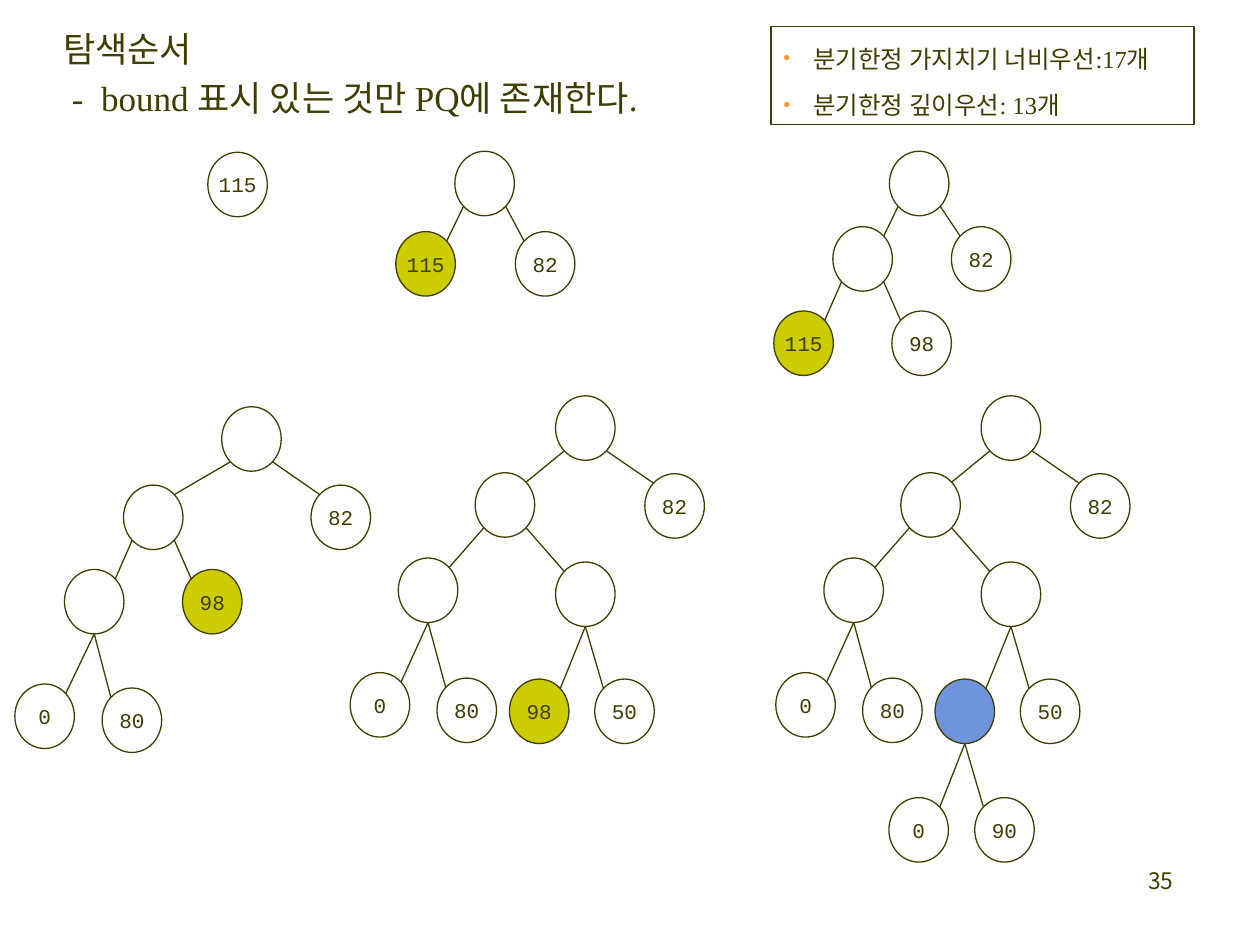
"""Build a slide showing the search order of a best-first branch-and-bound tree."""
from lxml import etree
from pptx import Presentation
from pptx import util as u
from pptx.dml.color import RGBColor
from pptx.enum import shapes, text
from pptx.oxml.ns import qn

INK = RGBColor(0x3F, 0x3E, 0x00)
NEXT = RGBColor(0xCC, 0xCC, 0x00)
BEST = RGBColor(0x70, 0x94, 0xDC)
BULLET = RGBColor(0xFF, 0x99, 0x33)
NODE_W, NODE_H = 1.2, 1.3
DIAGONAL = 0.3536


def place(part, left, top, width, height):
    part.left, part.top = u.Cm(left), u.Cm(top)
    part.width, part.height = u.Cm(width), u.Cm(height)


def write(paragraph, words, size, font):
    run = paragraph.add_run()
    run.text = words
    run.font.size = u.Pt(size)
    run.font.name = font
    run.font.color.rgb = INK


prs = Presentation()
prs.slide_width, prs.slide_height = u.Cm(25.4), u.Cm(19.05)
slide = prs.slides.add_slide(prs.slide_layouts[1])

heading = slide.shapes.title
place(heading, 1.02, 0.28, 12.88, 2.26)
heading.text_frame.word_wrap = True
heading.text_frame.auto_size = text.MSO_AUTO_SIZE.NONE
heading.text_frame.vertical_anchor = text.MSO_ANCHOR.TOP
for index, words in enumerate(["탐색순서", " -  bound 표시 있는 것만 PQ에 존재한다."]):
    line = heading.text_frame.paragraphs[0] if index == 0 else heading.text_frame.add_paragraph()
    line.alignment = text.PP_ALIGN.LEFT
    line.line_spacing = u.Pt(28)
    write(line, words, 20, "Times New Roman")

counts = slide.placeholders[1]
place(counts, 15.54, 0.53, 8.53, 1.98)
counts.line.color.rgb = INK
counts.line.width = u.Pt(0.75)
counts.text_frame.word_wrap = True
counts.text_frame.auto_size = text.MSO_AUTO_SIZE.NONE
counts.text_frame.vertical_anchor = text.MSO_ANCHOR.MIDDLE
for index, words in enumerate(["분기한정 가지치기 너비우선:17개", "분기한정 깊이우선: 13개"]):
    line = counts.text_frame.paragraphs[0] if index == 0 else counts.text_frame.add_paragraph()
    line.line_spacing = u.Pt(24)
    line.space_before = u.Pt(2.8)
    write(line, words, 14, "Times New Roman")
    props = line._p.get_or_add_pPr()
    props.set("marL", str(u.Cm(0.6)))
    props.set("indent", str(-u.Cm(0.6)))
    colour = etree.SubElement(props, qn("a:buClr"))
    etree.SubElement(colour, qn("a:srgbClr"), val=str(BULLET))
    etree.SubElement(props, qn("a:buSzPct"), val="80000")
    etree.SubElement(props, qn("a:buChar"), char="•")

# Each node: parent index, offset from the root (cm), bound, fill
final_top = [
    (None, 0, 0, "", None),
    (0, -1.62, 1.55, "", None), (0, 1.8, 1.57, "82", None),
    (1, -3.17, 3.27, "", None), (1, 0, 3.35, "", None),
    (3, -4.14, 5.58, "0", None), (3, -2.39, 5.69, "80", None),
    (4, 0.79, 5.71, "50", None),
]
trees = [
    (4.19, 3.07, [(None, 0, 0, "115", None)]),
    (9.17, 3.05, [
        (None, 0, 0, "", None),
        (0, -1.19, 1.62, "115", NEXT), (0, 1.22, 1.62, "82", None),
    ]),
    (17.93, 3.05, [
        (None, 0, 0, "", None),
        (0, -1.14, 1.52, "", None), (0, 1.25, 1.52, "82", None),
        (1, -2.33, 3.22, "115", NEXT), (1, 0.05, 3.22, "98", None),
    ]),
    (4.47, 8.2, [
        (None, 0, 0, "", None),
        (0, -1.98, 1.58, "", None), (0, 1.8, 1.58, "82", None),
        (1, -3.17, 3.28, "", None), (1, -0.79, 3.28, "98", NEXT),
        (3, -4.17, 5.59, "0", None), (3, -2.41, 5.67, "80", None),
    ]),
    (11.2, 7.98, final_top + [(4, -0.93, 5.71, "98", NEXT)]),
    (19.78, 7.98, final_top + [
        (4, -0.93, 5.71, "", BEST),
        (8, -1.86, 8.1, "0", None), (8, -0.13, 8.1, "90", None),
    ]),
]

for root_left, root_top, nodes in trees:
    depths = []
    for parent, dx, dy, bound, fill in nodes:
        node = slide.shapes.add_shape(shapes.MSO_SHAPE.OVAL, 0, 0, 0, 0)
        place(node, root_left + dx, root_top + dy, NODE_W, NODE_H)
        node.shadow.inherit = False
        node.line.color.rgb = INK
        node.line.width = u.Pt(0.75)
        if fill is None:
            node.fill.background()
        else:
            node.fill.solid()
            node.fill.fore_color.rgb = fill
        if bound:
            frame = node.text_frame
            frame.margin_left = frame.margin_right = 0
            frame.word_wrap = False
            frame.vertical_anchor = text.MSO_ANCHOR.MIDDLE
            frame.paragraphs[0].alignment = text.PP_ALIGN.CENTER
            write(frame.paragraphs[0], bound, 12, "Courier New")

        depths.append(0 if parent is None else depths[parent] + 1)
        if parent is None:
            continue
        side = -1 if dx < nodes[parent][1] else 1
        start_x = root_left + nodes[parent][1] + NODE_W / 2
        start_y = root_top + nodes[parent][2] + NODE_H
        if depths[parent] < 2:
            start_x += side * DIAGONAL * NODE_W
            start_y -= (0.5 - DIAGONAL) * NODE_H
        end_x = root_left + dx + (0.5 - side * DIAGONAL) * NODE_W
        end_y = root_top + dy + (0.5 - DIAGONAL) * NODE_H
        branch = slide.shapes.add_connector(
            shapes.MSO_CONNECTOR.STRAIGHT,
            u.Cm(start_x), u.Cm(start_y), u.Cm(end_x), u.Cm(end_y))
        branch.line.color.rgb = INK
        branch.line.width = u.Pt(0.75)
        etree.SubElement(branch._element.spPr, qn("a:effectLst"))

page = slide.shapes.add_textbox(u.Cm(18.62), u.Cm(17.35), u.Cm(5.28), u.Cm(1.27))
page.text_frame.word_wrap = True
page.text_frame.paragraphs[0].alignment = text.PP_ALIGN.RIGHT
write(page.text_frame.paragraphs[0], "35", 13, "Noto Sans CJK KR")

prs.save("out.pptx")
